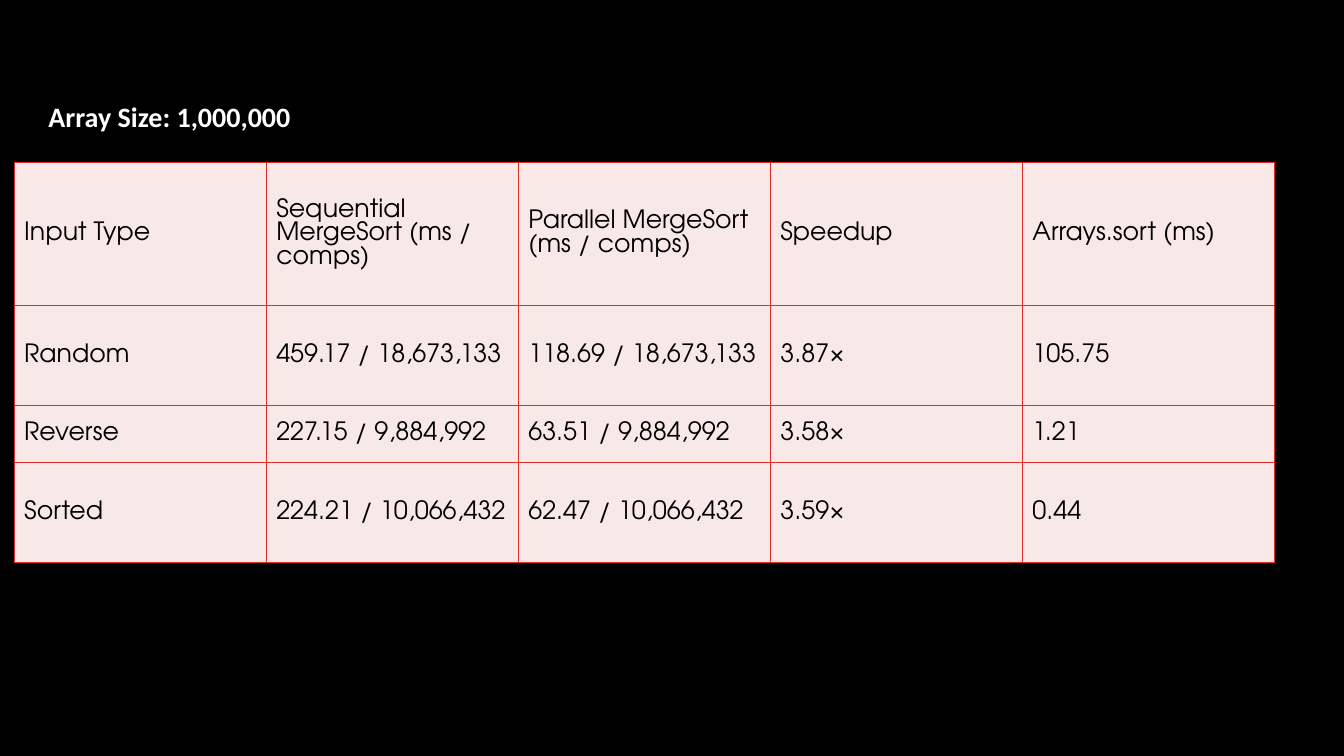
from pptx import Presentation
from pptx.dml.color import RGBColor
from pptx.enum.text import MSO_ANCHOR as Anchor, PP_ALIGN as Align
from pptx.oxml import parse_xml
from pptx.oxml.ns import nsdecls
from pptx.util import Pt

PX = 9144  # 100 px to the inch
COLORS = {"background": "000000", "title": "FFFFFF", "text": "000000",
          "cell": "F9E8E8", "border": "DF2E28"}
TITLE_FONT, TABLE_FONT = "Calibri", "TeX Gyre Adventor"

COLUMN_WIDTH = 250
ROW_HEIGHTS = [142, 99, 57, 99]
ROWS = [
    ["Input Type", "Sequential MergeSort (ms / comps)",
     "Parallel MergeSort (ms / comps)", "Speedup", "Arrays.sort (ms)"],
    ["Random", "459.17 / 18,673,133", "118.69 / 18,673,133", "3.87×", "105.75"],
    ["Reverse", "227.15 / 9,884,992", "63.51 / 9,884,992", "3.58×", "1.21"],
    ["Sorted", "224.21 / 10,066,432", "62.47 / 10,066,432", "3.59×", "0.44"],
]


def color(name):
    return RGBColor.from_string(COLORS[name])


class SlideBuilder:
    def __init__(self, presentation):
        self.slide = presentation.slides.add_slide(presentation.slide_layouts[5])
        fill = self.slide.background.fill
        fill.solid()
        fill.fore_color.rgb = color("background")

    def style(self, paragraph, font_name, size, color_name, bold=False):
        paragraph.alignment = Align.LEFT
        font = paragraph.font
        font.name, font.size, font.bold = font_name, Pt(size), bold
        font.color.rgb = color(color_name)

    def title(self, text, left, top, width, height):
        shape = self.slide.shapes.title
        shape.left, shape.top = left * PX, top * PX
        shape.width, shape.height = width * PX, height * PX
        frame = shape.text_frame
        frame.text = text
        frame.word_wrap = True
        frame.vertical_anchor = Anchor.MIDDLE
        self.style(frame.paragraphs[0], TITLE_FONT, 20, "title", bold=True)

    def borders(self, cell):
        properties = cell._tc.get_or_add_tcPr()
        for index, side in enumerate("LRTB"):
            properties.insert(index, parse_xml(
                f'<a:ln{side} {nsdecls("a")} w="{Pt(1)}"><a:solidFill>'
                f'<a:srgbClr val="{COLORS["border"]}"/></a:solidFill></a:ln{side}>'))

    def cell(self, cell, text):
        cell.text = text
        cell.vertical_anchor = Anchor.MIDDLE
        cell.fill.solid()
        cell.fill.fore_color.rgb = color("cell")
        self.style(cell.text_frame.paragraphs[0], TABLE_FONT, 18, "text")
        self.borders(cell)

    def table(self, rows, left, top, column_width, row_heights):
        width, height = column_width * len(rows[0]), sum(row_heights)
        table = self.slide.shapes.add_table(
            len(rows), len(rows[0]), left * PX, top * PX, width * PX, height * PX).table
        for column in table.columns:
            column.width = column_width * PX
        for r, (values, row_height) in enumerate(zip(rows, row_heights)):
            table.rows[r].height = row_height * PX
            for c, text in enumerate(values):
                self.cell(table.cell(r, c), text)


def main():
    presentation = Presentation()
    presentation.slide_width, presentation.slide_height = 1333 * PX, 750 * PX
    builder = SlideBuilder(presentation)

    # Heading
    builder.title("Array Size: 1,000,000", 38, 93, 304, 44)

    # Benchmark results
    builder.table(ROWS, 14, 161, COLUMN_WIDTH, ROW_HEIGHTS)

    presentation.save("out.pptx")


if __name__ == "__main__":
    main()
